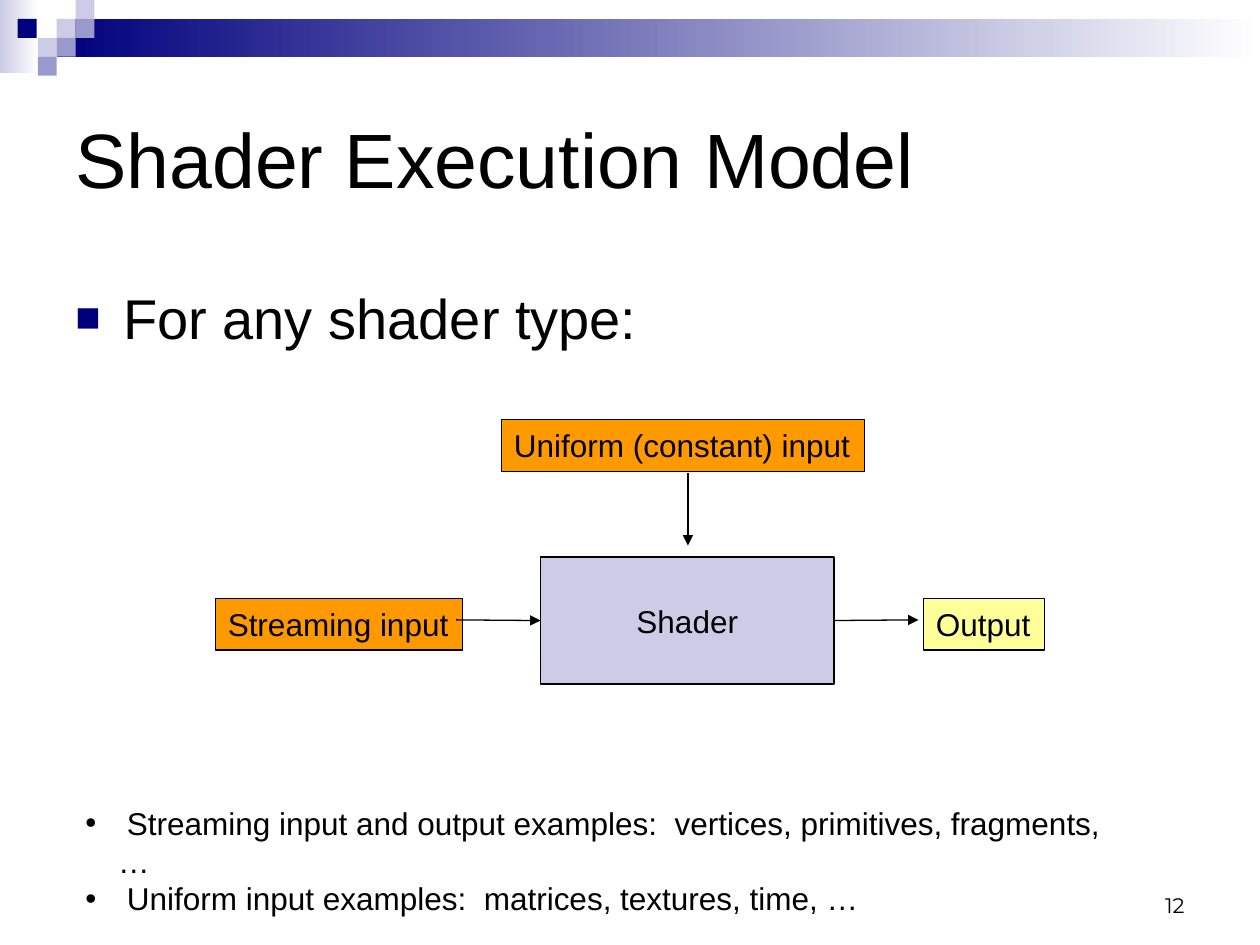
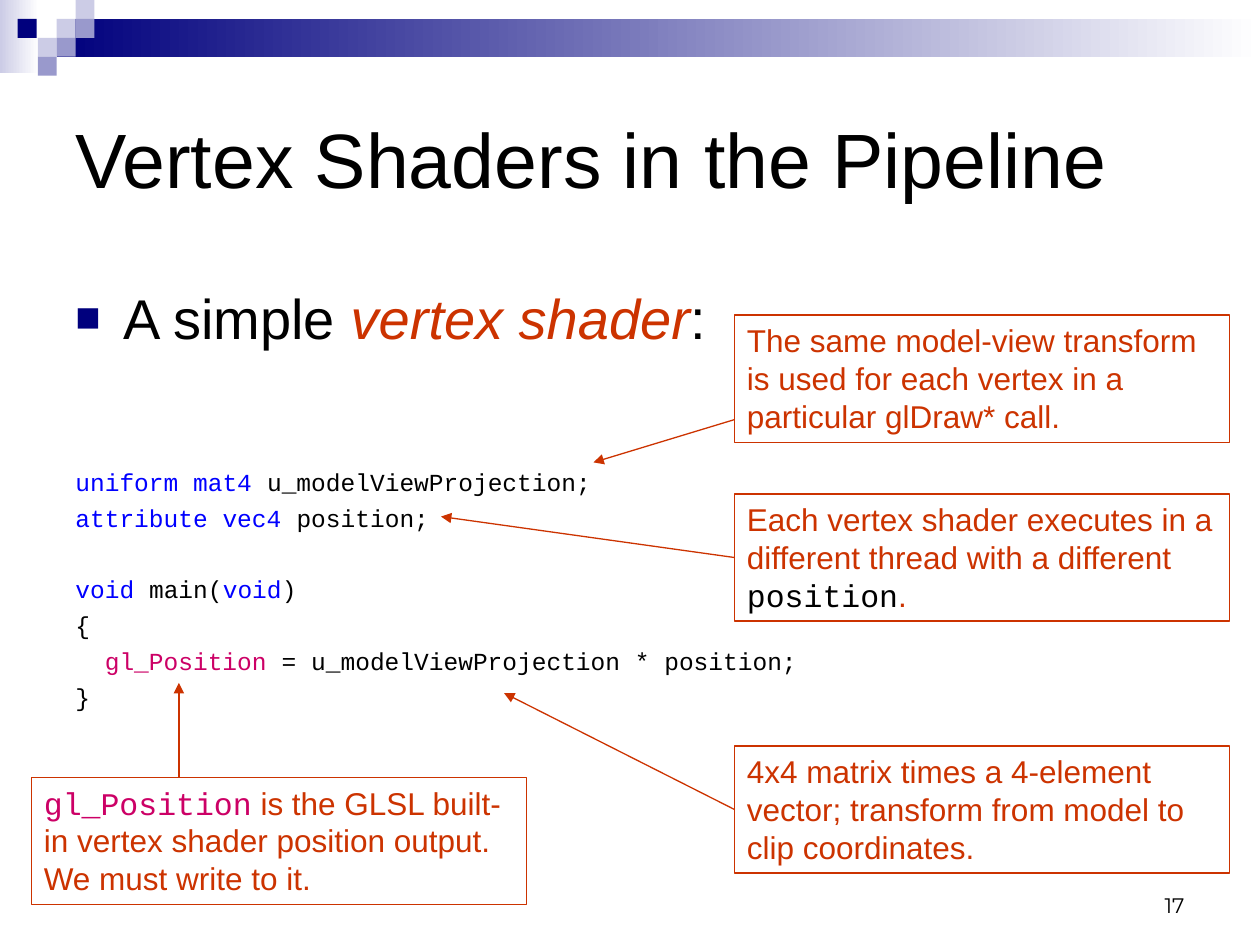
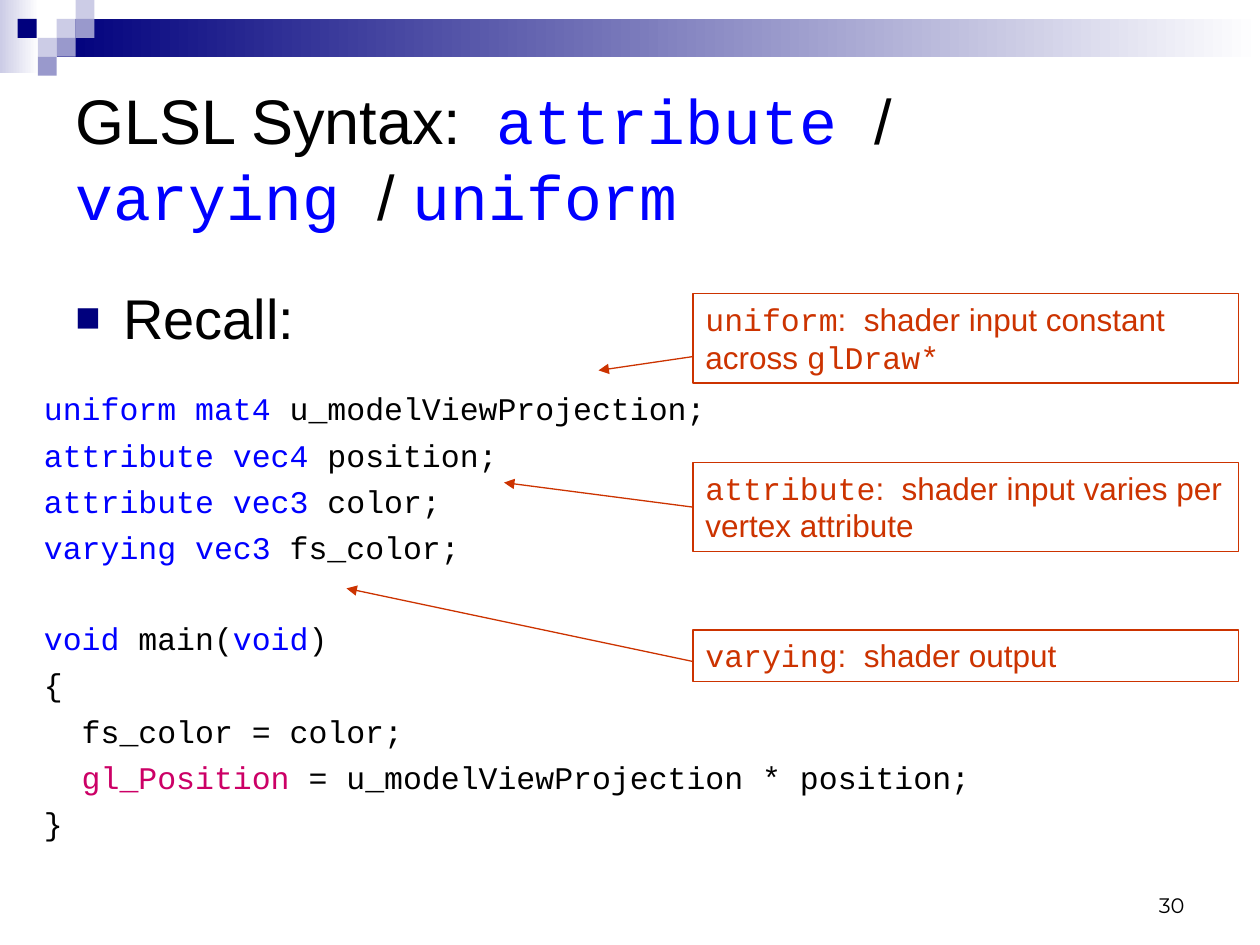
"""Build three slides on shader execution and GLSL syntax."""
from lxml.etree import SubElement
from pptx import Presentation
from pptx.dml.color import RGBColor
from pptx.enum.shapes import MSO_CONNECTOR, MSO_SHAPE
from pptx.enum.text import MSO_ANCHOR, PP_ALIGN
from pptx.oxml.ns import qn
from pptx.util import Inches, Pt

BLACK = RGBColor(0x00, 0x00, 0x00)
WHITE = RGBColor(0xFF, 0xFF, 0xFF)
NAVY = RGBColor(0x00, 0x00, 0x7D)
LAVENDER = RGBColor(0xCC, 0xCC, 0xE6)
PERIWINKLE = RGBColor(0x99, 0x99, 0xCC)
ORANGE = RGBColor(0xFF, 0x99, 0x00)
YELLOW = RGBColor(0xFF, 0xFF, 0x99)
RED = RGBColor(0xCC, 0x33, 0x00)
BLUE = RGBColor(0x00, 0x00, 0xFF)
MAGENTA = RGBColor(0xCC, 0x00, 0x66)

SANS = {"name": "Arial"}
ITALIC = {"name": "Arial", "italic": True}
MONO = {"name": "Courier New"}
NUMBER = {"name": "Montserrat"}

TITLE_FRAME = {"vertical_anchor": MSO_ANCHOR.MIDDLE, "margin_right": Inches(0.5)}
NUMBER_FRAME = {"vertical_anchor": MSO_ANCHOR.BOTTOM}
LABEL_FRAME = {"word_wrap": False, "vertical_anchor": MSO_ANCHOR.TOP}
CALLOUT_FRAME = {"vertical_anchor": MSO_ANCHOR.TOP}
SHADER_FRAME = {"vertical_anchor": MSO_ANCHOR.MIDDLE}
SQUARE_BULLET = {"character": "■", "indent": 0.38, "color": NAVY, "percent": 75}
ROUND_BULLET = {"character": "•", "indent": 0.26, "color": BLACK, "percent": 100}


def add_text(slide, box, paragraphs, size, frame={}, fill=None, line=None,
             alignment=PP_ALIGN.LEFT, bullet=None):
    """Add a text box, or an outlined rectangle, holding paragraphs of (text, color, font) runs."""
    place = [Inches(length) for length in box]
    if line is None:
        shape = slide.shapes.add_textbox(*place)
    else:
        shape = slide.shapes.add_shape(MSO_SHAPE.RECTANGLE, *place)
        shape.shadow.inherit = False
        shape.line.color.rgb = line
        shape.line.width = Pt(0.75)
        if fill is None:
            shape.fill.background()
        else:
            shape.fill.solid()
            shape.fill.fore_color.rgb = fill
    text_frame = shape.text_frame
    for key, value in {"word_wrap": True, **frame}.items():
        setattr(text_frame, key, value)
    for index, runs in enumerate(paragraphs):
        paragraph = text_frame.add_paragraph() if index else text_frame.paragraphs[0]
        paragraph.alignment = alignment
        for text, color, font in runs:
            run = paragraph.add_run()
            run.text = text
            run.font.size = Pt(size)
            run.font.color.rgb = color
            for key, value in font.items():
                setattr(run.font, key, value)
        if bullet:
            properties = paragraph._p.get_or_add_pPr()
            properties.set("marL", str(Inches(bullet["indent"])))
            properties.set("indent", str(-Inches(bullet["indent"])))
            color_element = SubElement(properties, qn("a:buClr"))
            SubElement(color_element, qn("a:srgbClr"), val=str(bullet["color"]))
            SubElement(properties, qn("a:buSzPct"), val=str(bullet["percent"] * 1000))
            SubElement(properties, qn("a:buFont"), typeface="Arial")
            SubElement(properties, qn("a:buChar"), char=bullet["character"])
    return shape


def add_arrow(slide, start, end, color):
    """Add a thin straight connector with a triangle at its end."""
    points = [Inches(length) for length in (*start, *end)]
    connector = slide.shapes.add_connector(MSO_CONNECTOR.STRAIGHT, *points)
    connector.line.color.rgb = color
    connector.line.width = Pt(0.75)
    SubElement(connector.line._get_or_add_ln(), qn("a:tailEnd"), type="triangle")
    SubElement(connector._element.spPr, qn("a:effectLst"))
    return connector


presentation = Presentation()
presentation.slide_width = Inches(10)
presentation.slide_height = Inches(7.5)

BANDS = [((0, 0, 0.31, 0.58), LAVENDER), ((0.45, 0.15, 9.55, 0.3), NAVY)]
SQUARES = [
    (0.45, 0.15, LAVENDER), (0.6, 0, LAVENDER), (0.6, 0.15, PERIWINKLE),
    (0.3, 0.3, LAVENDER), (0.14, 0.15, NAVY), (0.45, 0.3, PERIWINKLE),
    (0.3, 0.45, PERIWINKLE),
]
HEADINGS = [
    ("12", 44, [("Shader Execution Model", BLACK, SANS)],
     [("For any shader type:", BLACK, SANS)]),
    ("17", 44, [("Vertex Shaders in the Pipeline", BLACK, SANS)],
     [("A simple ", BLACK, SANS), ("vertex shader", RED, ITALIC), (":", BLACK, SANS)]),
    ("30", 36, [("GLSL Syntax:  ", BLACK, SANS), ("attribute ", BLUE, MONO),
                ("/ ", BLACK, SANS), ("varying ", BLUE, MONO),
                ("/ ", BLACK, SANS), ("uniform", BLUE, MONO)],
     [("Recall:", BLACK, SANS)]),
]

slides = []
for number, title_size, title, heading in HEADINGS:
    slide = presentation.slides.add_slide(presentation.slide_layouts[6])
    slides.append(slide)
    for box, color in BANDS:
        band = slide.shapes.add_shape(MSO_SHAPE.RECTANGLE, *[Inches(length) for length in box])
        band.shadow.inherit = False
        band.line.fill.background()
        band.fill.gradient()
        band.fill.gradient_angle = 0
        for stop, stop_color in zip(band.fill.gradient_stops, (color, WHITE)):
            stop.color.rgb = stop_color
    for left, top, color in SQUARES:
        square = slide.shapes.add_shape(
            MSO_SHAPE.RECTANGLE, Inches(left), Inches(top), Inches(0.15), Inches(0.15))
        square.shadow.inherit = False
        square.line.fill.background()
        square.fill.solid()
        square.fill.fore_color.rgb = color
    add_text(slide, (0.5, 0.5, 9, 1.5), [title], title_size, TITLE_FRAME)
    add_text(slide, (0.5, 2.2, 9, 0.67), [heading], 32, bullet=SQUARE_BULLET)
    add_text(slide, (7.17, 6.83, 2.33, 0.5), [[(number, BLACK, NUMBER)]], 12,
             NUMBER_FRAME, alignment=PP_ALIGN.RIGHT)

model_slide, vertex_slide, syntax_slide = slides

shader_box = add_text(model_slide, (4.29, 4.42, 2.33, 1.01), [[("Shader", BLACK, SANS)]], 18,
                      SHADER_FRAME, LAVENDER, BLACK, PP_ALIGN.CENTER)
for label, left, top, width, fill in [
    ("Streaming input", 1.71, 4.75, 1.96, ORANGE),
    ("Output", 7.33, 4.75, 0.96, YELLOW),
    ("Uniform (constant) input", 3.98, 3.33, 2.88, ORANGE),
]:
    add_text(model_slide, (left, top, width, 0.41), [[(label, BLACK, SANS)]], 18,
             LABEL_FRAME, fill, BLACK)
add_arrow(model_slide, (3.62, 4.92), (4.29, 4.92), BLACK).end_connect(shader_box, 1)
add_arrow(model_slide, (6.62, 4.92), (7.29, 4.92), BLACK).begin_connect(shader_box, 3)
add_arrow(model_slide, (5.46, 3.75), (5.46, 4.33), BLACK)
EXAMPLES = [
    " Streaming input and output examples:  vertices, primitives, fragments, …",
    " Uniform input examples:  matrices, textures, time, …",
]
add_text(model_slide, (0.58, 6.33, 8.4, 0.95),
         [[(example, BLACK, SANS)] for example in EXAMPLES], 18, bullet=ROUND_BULLET)

UNIFORM_LINE = [("uniform mat4 ", BLUE, MONO), ("u_modelViewProjection;", BLACK, MONO)]
POSITION_LINE = [("attribute vec4 ", BLUE, MONO), ("position;", BLACK, MONO)]
MAIN_LINE = [("void", BLUE, MONO), (" main(", BLACK, MONO), ("void", BLUE, MONO),
             (")", BLACK, MONO)]
OPEN_LINE = [("{", BLACK, MONO)]
OUTPUT_LINE = [("gl_Position", MAGENTA, MONO),
               (" = u_modelViewProjection * position;", BLACK, MONO)]
CLOSE_LINE = [("}", BLACK, MONO)]
COLOR_LINE = [("attribute vec3", BLUE, MONO), (" color;", BLACK, MONO)]
VARYING_LINE = [("varying vec3 ", BLUE, MONO), ("fs_color;", BLACK, MONO)]
ASSIGN_LINE = [("fs_color = color;", BLACK, MONO)]

for slide, box, size, lines in [
    (vertex_slide, (0.5, 3.66, 9.25, 2.1), 14,
     [UNIFORM_LINE, POSITION_LINE, MAIN_LINE, OPEN_LINE, OUTPUT_LINE, CLOSE_LINE]),
    (syntax_slide, (0.25, 3.04, 9.25, 3.7), 18,
     [UNIFORM_LINE, POSITION_LINE, COLOR_LINE, VARYING_LINE, MAIN_LINE, OPEN_LINE,
      ASSIGN_LINE, OUTPUT_LINE, CLOSE_LINE]),
]:
    code = add_text(slide, box, lines, size)
    for line, paragraph in zip(lines, code.text_frame.paragraphs):
        if line is MAIN_LINE:
            paragraph.space_before = Pt(round(1.67 * size, 1))
        elif line is not UNIFORM_LINE:
            paragraph.space_before = Pt(round(0.27 * size, 1))
        if line in (ASSIGN_LINE, OUTPUT_LINE):
            paragraph._p.get_or_add_pPr().set("marL", str(Pt(1.2 * size)))

CALLOUTS = [
    (vertex_slide, (5.83, 2.5, 3.93, 1.01), (5.83, 3.33), (4.71, 3.67), False,
     [("The same model-view transform is used for each vertex in a particular glDraw* call.",
       RED, SANS)]),
    (vertex_slide, (5.83, 3.92, 3.93, 1.01), (5.83, 4.43), (3.5, 4.1), True,
     [("Each vertex shader executes in a different thread with a different ", RED, SANS),
      ("position", BLACK, MONO), (".", RED, SANS)]),
    (vertex_slide, (0.25, 6.17, 3.93, 1.01), (1.42, 6.17), (1.42, 5.42), False,
     [("gl_Position", MAGENTA, MONO),
      (" is the GLSL built-in vertex shader position output.  We must write to it.",
       RED, SANS)]),
    (vertex_slide, (5.83, 5.92, 3.93, 1.01), (5.83, 6.42), (4, 5.5), True,
     [("4x4 matrix times a 4-element vector; transform from model to clip coordinates.",
       RED, SANS)]),
    (syntax_slide, (5.5, 2.33, 4.33, 0.71), (5.5, 2.83), (4.75, 2.94), False,
     [("uniform", RED, MONO), (":  shader input constant across ", RED, SANS),
      ("glDraw*", RED, MONO)]),
    (syntax_slide, (5.5, 5, 4.33, 0.41), (5.5, 5.25), (2.75, 4.67), False,
     [("varying", RED, MONO), (":  shader output", RED, SANS)]),
    (syntax_slide, (5.5, 3.67, 4.33, 0.71), (5.5, 4.02), (4, 3.83), True,
     [("attribute", RED, MONO), (":  shader input varies per vertex attribute", RED, SANS)]),
]
for slide, box, start, end, joined, runs in CALLOUTS:
    callout = add_text(slide, box, [runs], 18, CALLOUT_FRAME, line=RED)
    arrow = add_arrow(slide, start, end, RED)
    if joined:
        arrow.begin_connect(callout, 1)

presentation.save("out.pptx")
